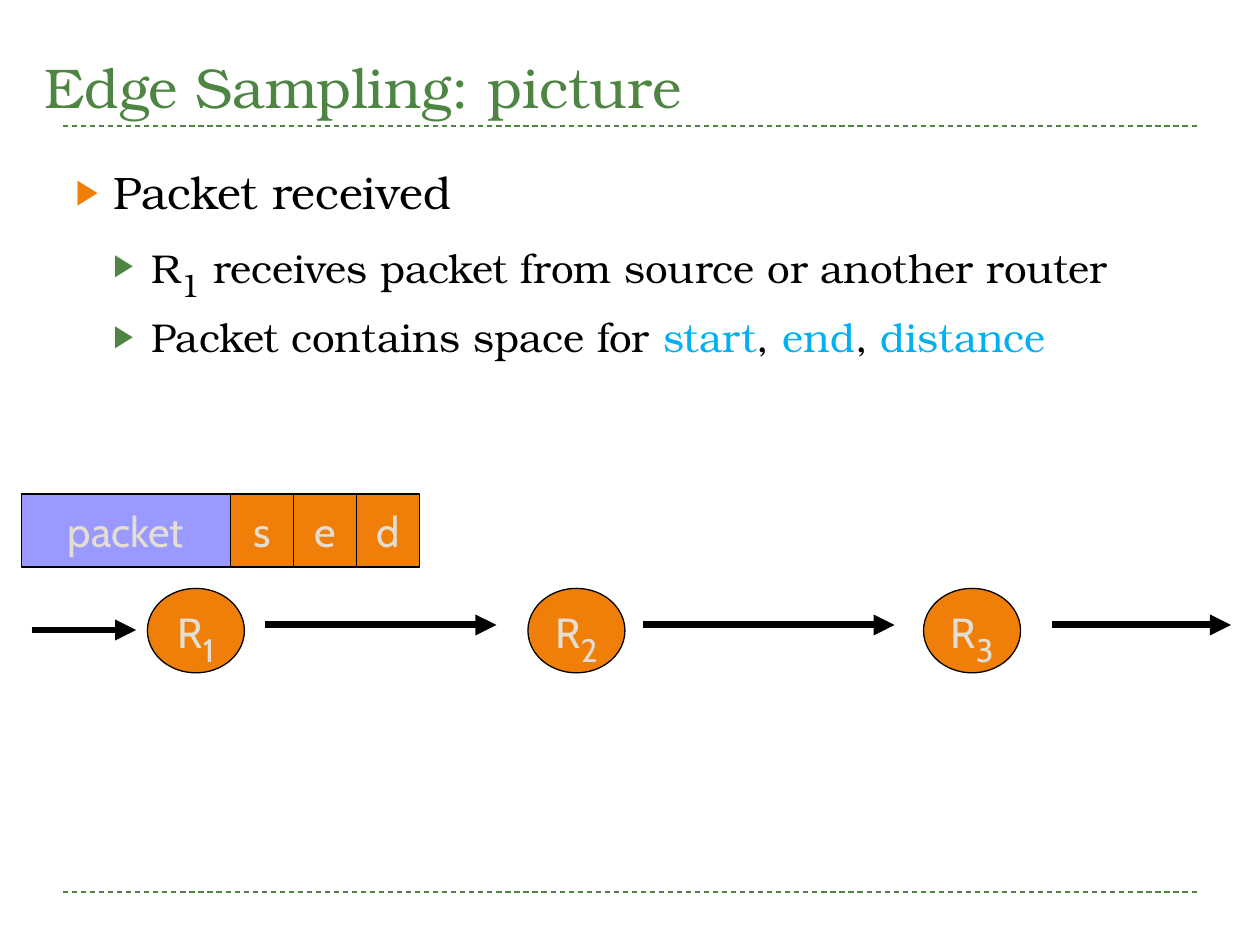
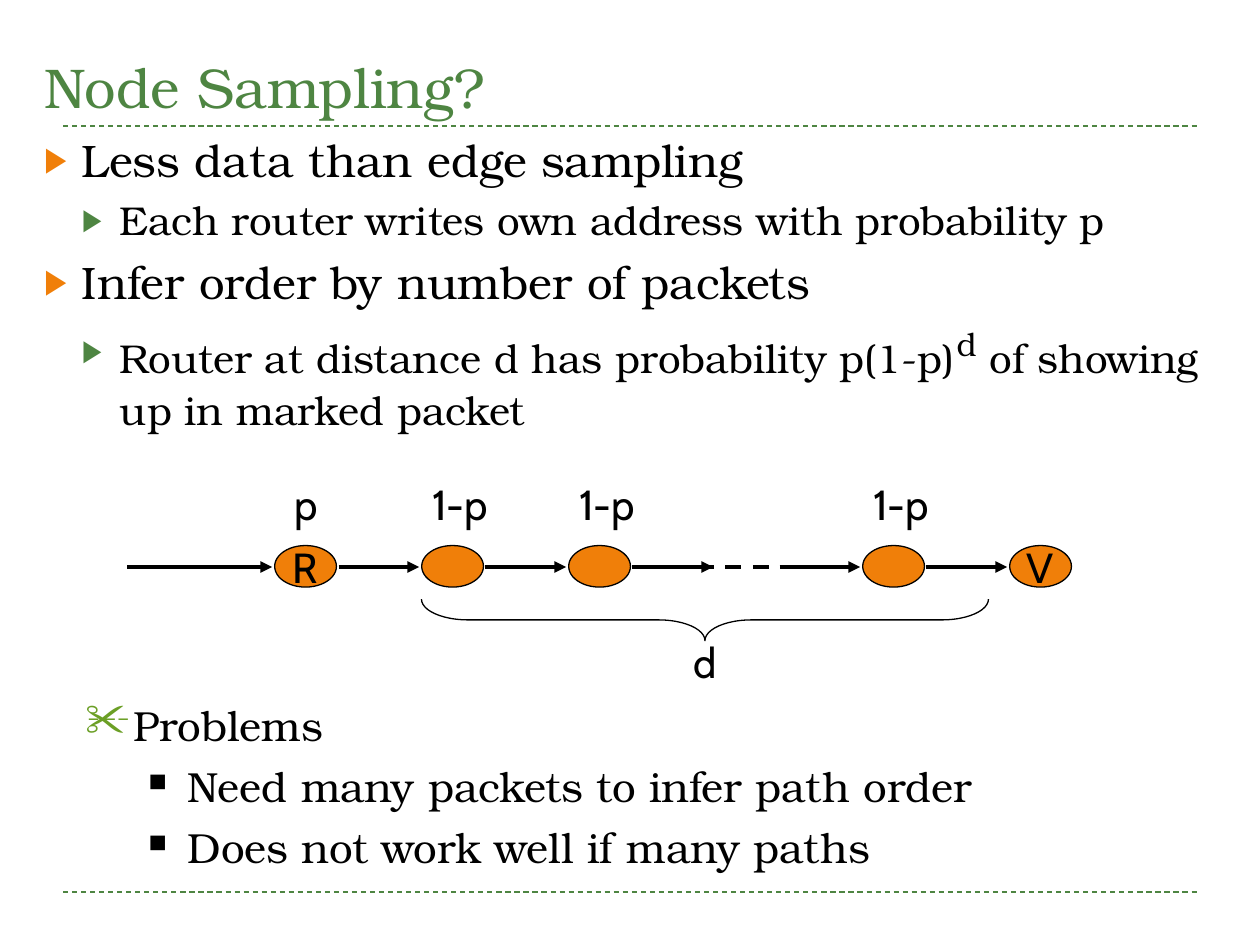
from lxml import etree
from pptx import Presentation
from pptx.dml.color import RGBColor
from pptx.enum.dml import MSO_LINE as Dash
from pptx.enum.shapes import MSO_CONNECTOR as Link, MSO_SHAPE as Kind
from pptx.enum.text import MSO_ANCHOR as Anchor, MSO_AUTO_SIZE as Fit, PP_ALIGN as Align
from pptx.oxml.ns import qn
from pptx.util import Inches, Pt

HUES = {
    "green": "4E8542", "orange": "F07F09", "leaf": "6B9F25", "lilac": "9999FF",
    "sky": "00B0F0", "sand": "E3DED1", "black": "000000",
}
SERIF, SANS = "TeX Gyre Bonum", "Cabin"


def hue(name):
    return RGBColor.from_string(HUES[name])


def write(para, runs, size, font, color):
    """Fill a paragraph; a run is text or (text, color, size, baseline)."""
    for item in [runs] if isinstance(runs, str) else runs:
        text, tint, pts, base = (item, color, size, 0) if isinstance(item, str) else item
        run = para.add_run()
        run.text = text
        run.font.name = font
        run.font.size = Pt(pts)
        run.font.color.rgb = hue(tint)
        if base:
            run.font._element.set("baseline", str(base * 1000))


prs = Presentation()
prs.slide_width, prs.slide_height = Inches(10), Inches(7.5)
edge, node = [prs.slides.add_slide(prs.slide_layouts[1]) for _ in range(2)]

# Titles
for slide, text in ((edge, "Edge Sampling: picture"), (node, "Node Sampling?")):
    title = slide.shapes.title
    title.left, title.top, title.width, title.height = map(Inches, (0.25, 0.17, 9.5, 0.83))
    frame = title.text_frame
    frame.auto_size = Fit.NONE
    frame.vertical_anchor = Anchor.BOTTOM
    frame.paragraphs[0].alignment = Align.LEFT
    write(frame.paragraphs[0], text, 32, SERIF, "green")

# Bulleted lists: style is (level, margin, hang, space, size, mark, mark color, mark percent)
MAIN = (0, 0.3, 0.3, 6, 26, "▶", "orange", 76)
SUB = (1, 0.6, 0.3, 5, 23, "▶", "green", 76)
HEAD = (0, 0.38, 0.38, 6, 24, "✂", "leaf", 110)
ITEM = (1, 0.81, 0.31, 6, 24, "■", "black", 60)

issues = node.shapes.add_textbox(0, 0, 0, 0)
lists = [
    (edge.placeholders[1], (0.5, 1.25, 8.75, 2.08), [
        (MAIN, "Packet received"),
        (SUB, ["R", ("1", "black", 32, -25), " receives packet from source or another router"]),
        (SUB, ["Packet contains space for ", ("start", "sky", 23, 0), ", ",
               ("end", "sky", 23, 0), ", ", ("distance", "sky", 23, 0)]),
    ]),
    (node.placeholders[1], (0.25, 1, 9.5, 6), [
        (MAIN, "Less data than edge sampling"),
        (SUB, "Each router writes own address with probability p"),
        (MAIN, "Infer order by number of packets"),
        (SUB, ["Router at distance d has probability p(1-p)", ("d", "black", 32, 30),
               " of showing up in marked packet"]),
    ]),
    (issues, (0.58, 5.5, 8.58, 1.42), [
        (HEAD, "Problems"),
        (ITEM, "Need many packets to infer path order"),
        (ITEM, "Does not work well if many paths"),
    ]),
]
for box, place, rows in lists:
    box.left, box.top, box.width, box.height = map(Inches, place)
    frame = box.text_frame
    frame.word_wrap = True
    frame.auto_size = Fit.NONE
    for i, (style, runs) in enumerate(rows):
        level, margin, hang, space, size, mark, tint, percent = style
        para = frame.add_paragraph() if i else frame.paragraphs[0]
        para.level = level
        para.space_before = Pt(space if i else 0)
        props = para._p.get_or_add_pPr()
        props.set("marL", str(Inches(margin)))
        props.set("indent", str(-Inches(hang)))
        color = etree.SubElement(props, qn("a:buClr"))
        etree.SubElement(color, qn("a:srgbClr"), val=HUES[tint])
        etree.SubElement(props, qn("a:buSzPct"), val=str(percent * 1000))
        etree.SubElement(props, qn("a:buChar"), char=mark)
        write(para, runs, size, SERIF, "black")

# Router chain geometry: six stops, the fourth one skipped
stops = [2.18 + 7 / 6 * i for i in range(6)]

# Lines: slide, start, end, height, width, color, dashed, arrowhead
lines = [(slide, 0.5, 9.5, y, 0.75, "green", True, False)
         for slide in (edge, node) for y in (7.08, 1)]
lines += [(edge, start, end, y, 4, "black", False, True) for start, end, y in (
    (0.25, 1.08, 5), (2.1, 3.94, 4.96), (5.1, 7.1, 4.96), (8.35, 9.77, 4.96))]
lines += [(node, x - 0.66 if i else 1.01, x - 0.02, 4.5, 2.25, "black", False, True)
          for i, x in enumerate(stops)]
lines.append((node, 5.54, 6.18, 4.5, 2.25, "black", True, False))
for slide, start, end, y, width, tint, dashed, arrow in lines:
    line = slide.shapes.add_connector(
        Link.STRAIGHT, Inches(start), Inches(y), Inches(end), Inches(y))
    line.line.color.rgb = hue(tint)
    line.line.width = Pt(width)
    if dashed:
        line.line.dash_style = Dash.DASH
    if arrow:
        etree.SubElement(line.line._get_or_add_ln(), qn("a:tailEnd"), type="triangle")
    etree.SubElement(line._element.spPr, qn("a:effectLst"))

# Packet fields, routers and path nodes: slide, kind, place, fill, text color, runs
shapes = [(edge, Kind.RECTANGLE, (0.17, 3.92, 1.66, 0.58), "lilac", "sand", "packet")]
shapes += [(edge, Kind.RECTANGLE, (1.83 + 0.5 * i, 3.92, 0.5, 0.58), "orange", "sand", name)
           for i, name in enumerate("sed")]
shapes += [(edge, Kind.OVAL, (x, 4.67, 0.77, 0.67), "orange", "sand",
            ["R", (num, "sand", 32, -25)])
           for num, x in zip("123", (1.17, 4.19, 7.33))]
shapes += [(node, Kind.OVAL, (x, 4.33, 0.49, 0.33), "orange", "black", name)
           for x, name in zip(stops, ("R", "", "", None, "", "V")) if name is not None]
shapes.append((node, Kind.RIGHT_BRACE, (5.43, 2.67, 0.33, 4.5), None, "black", ""))
for slide, kind, place, fill, tint, runs in shapes:
    shape = slide.shapes.add_shape(kind, *map(Inches, place))
    shape.shadow.inherit = False
    shape.line.color.rgb = hue("black")
    shape.line.width = Pt(0.75)
    if fill:
        shape.fill.solid()
        shape.fill.fore_color.rgb = hue(fill)
    else:
        shape.fill.background()
    if kind == Kind.RIGHT_BRACE:
        shape.rotation = 90
        shape.adjustments[0] = 1.12
    if runs:
        frame = shape.text_frame
        frame.word_wrap = False
        frame.vertical_anchor = Anchor.MIDDLE
        frame.paragraphs[0].alignment = Align.CENTER
        write(frame.paragraphs[0], runs, 24, SANS, tint)

# Probability and distance labels
labels = [("p", 2.1, 3.75, 0.66), ("d", 5.27, 5, 0.66)]
labels += [("1-p", stops[i] - 0.15, 3.75, 0.91) for i in (1, 2, 4)]
for text, x, y, width in labels:
    label = node.shapes.add_textbox(Inches(x), Inches(y), Inches(width), Inches(0.5))
    frame = label.text_frame
    frame.word_wrap = True
    frame.paragraphs[0].alignment = Align.CENTER
    write(frame.paragraphs[0], text, 24, SANS, "black")

prs.save("out.pptx")
